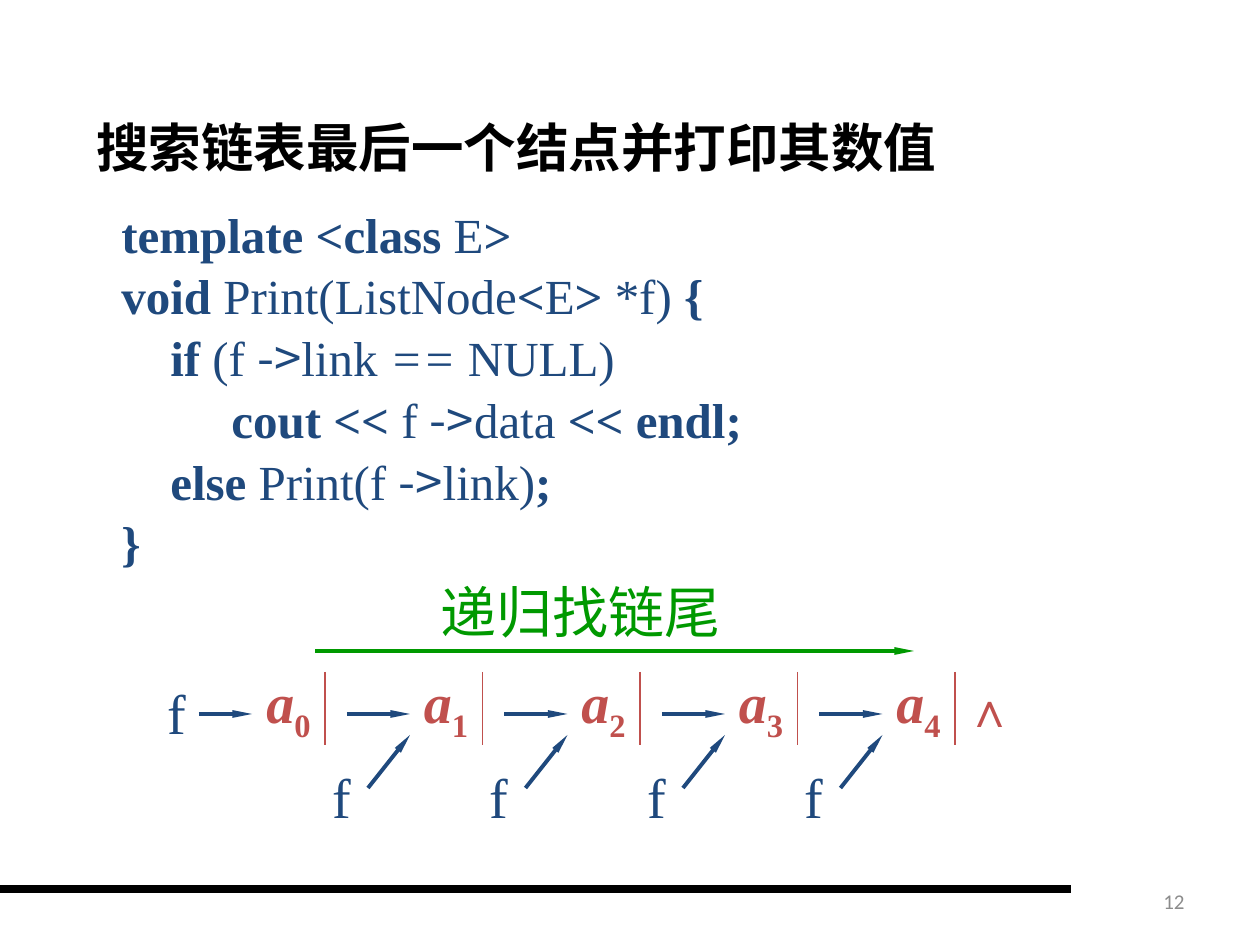
from lxml import etree
from pptx import Presentation
from pptx import util as u
from pptx.dml.color import RGBColor
from pptx.enum import shapes, text
from pptx.oxml.ns import qn

EMU_PER_PX = u.Inches(1) / 126
COLORS = {"black": "000000", "gray": "8C8C8C", "blue": "1F497D",
          "red": "C0504D", "green": "009900"}
SERIF, SANS, CJK = "Times New Roman", "Calibri", "Noto Sans CJK SC"
BOLD, ITALIC, PLAIN = {"bold": True}, {"italic": True}, {}
ARROW = ("->", {"font": CJK})
NODE_STEP = 157.5

CODE = [
    [("template <class ", BOLD), ("E", PLAIN), (">", BOLD)],
    [("void", BOLD), (" Print(ListNode", PLAIN), ("<", BOLD), ("E", PLAIN),
     (">", BOLD), (" *f) ", PLAIN), ("{", BOLD)],
    [("    if", BOLD), (" (f ", PLAIN), ARROW, ("link ", PLAIN),
     ("==", ITALIC), (" NULL)", PLAIN)],
    [("         cout <<", BOLD), (" f ", PLAIN), ARROW, ("data ", PLAIN),
     ("<< endl;", BOLD)],
    [("    else ", BOLD), ("Print(f ", PLAIN), ARROW, ("link)", PLAIN),
     (";", BOLD)],
    [("}", BOLD)],
]


def px(value):
    return u.Emu(round(value * EMU_PER_PX))


def color(name):
    return RGBColor.from_string(COLORS[name])


def add_run(p, string, size, ink, font=SERIF, bold=False, italic=False,
            baseline=None):
    r = p.add_run()
    r.text = string
    r.font.size = u.Pt(size)
    r.font.name = font
    r.font.bold = bold
    r.font.italic = italic
    r.font.color.rgb = color(ink)
    r_pr = r.font._element
    etree.SubElement(r_pr, qn("a:ea")).set("typeface", CJK)
    if baseline:
        r_pr.set("baseline", str(baseline * 1000))


def add_text(slide, content, box, wrap=False, spacing=None, align=None,
             anchor=text.MSO_ANCHOR.TOP, **fmt):
    """Add a text box; content is a string or lines of (string, format) runs."""
    lines = [[(content, PLAIN)]] if isinstance(content, str) else content
    tf = slide.shapes.add_textbox(*map(px, box)).text_frame
    tf.word_wrap = wrap
    tf.auto_size = text.MSO_AUTO_SIZE.SHAPE_TO_FIT_TEXT
    tf.vertical_anchor = anchor
    for i, runs in enumerate(lines):
        p = tf.add_paragraph() if i else tf.paragraphs[0]
        p.alignment = align
        if spacing:
            p.line_spacing = spacing
        for string, style in runs:
            add_run(p, string, **{**fmt, **style})


def add_line(slide, start, end, ink, width=2.25, arrow=False):
    sp = slide.shapes.add_connector(shapes.MSO_CONNECTOR.STRAIGHT,
                                    *map(px, start + end))
    sp.line.color.rgb = color(ink)
    sp.line.width = u.Pt(width)
    if arrow:
        head = etree.SubElement(sp.line._get_or_add_ln(), qn("a:tailEnd"))
        for key, value in (("type", "triangle"), ("w", "sm"), ("len", "lg")):
            head.set(key, value)
    etree.SubElement(sp._element.spPr, qn("a:effectLst"))


def add_pointer_label(slide, left, top):
    add_text(slide, "f", (left, top, 58, 79), size=32, ink="blue")


def add_node(slide, index):
    x = index * NODE_STEP
    add_text(slide, [[("a", ITALIC), (str(index), {"baseline": -25})]],
             (254 + x, 661, 72, 79), size=32, ink="red", bold=True)
    add_line(slide, (325 + x, 672), (325 + x, 745), "red", width=0.75)


def add_link(slide, index):
    """Arrow to the next node, with the recursive call's pointer below it."""
    x = index * NODE_STEP
    add_line(slide, (347 + x, 714), (410 + x, 714), "blue", arrow=True)
    add_line(slide, (368 + x, 788), (410 + x, 735), "blue", arrow=True)
    add_pointer_label(slide, 320 + x, 756)


def add_linked_list(slide, count):
    add_pointer_label(slide, 155, 672)
    add_line(slide, (199, 714), (252, 714), "blue", arrow=True)
    for i in range(count):
        add_node(slide, i)
    for i in range(count - 1):
        add_link(slide, i)
    add_text(slide, "∧", (953, 672, 55, 72), size=28, ink="red", bold=True)


def main():
    prs = Presentation()
    prs.slide_width, prs.slide_height = px(1260), px(945)
    slide = prs.slides.add_slide(prs.slide_layouts[6])

    add_line(slide, (0, 889), (1071, 889), "black", width=4.5)
    add_text(slide, "12", (903, 876, 294, 50), wrap=True, size=12, ink="gray",
             font=SANS, align=text.PP_ALIGN.RIGHT,
             anchor=text.MSO_ANCHOR.MIDDLE)
    add_text(slide, "搜索链表最后一个结点并打印其数值", (84, 106, 1061, 102),
             wrap=True, spacing=1.05, size=30, ink="black", font=CJK, bold=True)
    add_text(slide, CODE, (109, 195, 835, 387), wrap=True, spacing=1.05,
             size=28, ink="blue")
    add_text(slide, "递归找链尾", (428, 571, 320, 79), wrap=True, size=32,
             ink="green")
    add_line(slide, (315, 651), (914, 651), "green", arrow=True)
    add_linked_list(slide, 5)

    prs.save("out.pptx")


if __name__ == "__main__":
    main()
